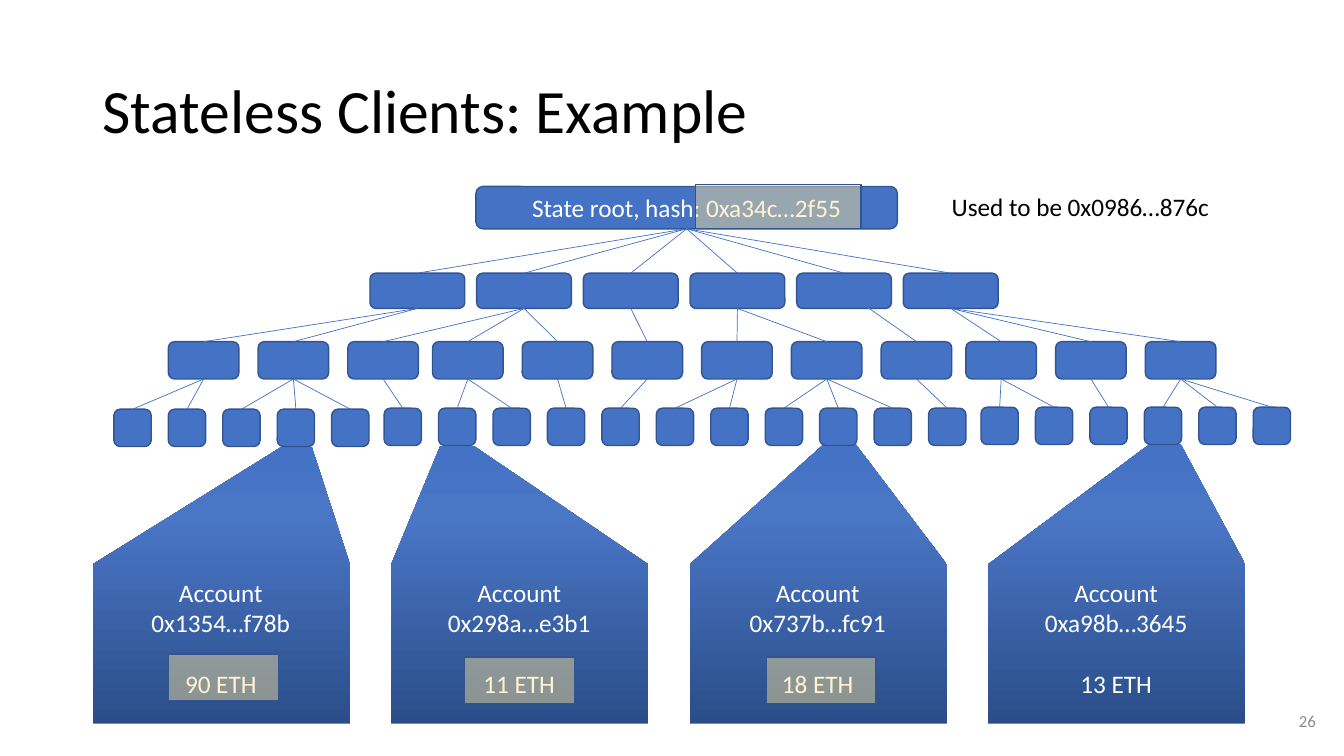
from lxml import etree
from pptx import Presentation
from pptx.dml.color import RGBColor
from pptx.enum.shapes import MSO_CONNECTOR, MSO_SHAPE
from pptx.enum.text import MSO_ANCHOR, PP_ALIGN
from pptx.oxml import parse_xml
from pptx.oxml.ns import nsdecls, qn
from pptx.util import Inches, Pt

ROUND, RECT = MSO_SHAPE.ROUNDED_RECTANGLE, MSO_SHAPE.RECTANGLE
LINE = MSO_CONNECTOR.STRAIGHT
TOP, MIDDLE = MSO_ANCHOR.TOP, MSO_ANCHOR.MIDDLE
LEFT, CENTER, RIGHT = PP_ALIGN.LEFT, PP_ALIGN.CENTER, PP_ALIGN.RIGHT

# Content
TITLE = "Stateless Clients: Example"
ROOT = "State root, hash: 0xa34c…2f55"
NOTE = "Used to be 0x0986…876c"
PAGE = "26"
# address, balance, neck left, neck right, neck top
ACCOUNTS = [
    ("0x1354…f78b", "90 ETH", 2.8, 3.09, 4.43),
    ("0x298a…e3b1", "11 ETH", 4.37, 4.69, 4.42),
    ("0x737b…fc91", "18 ETH", 8.18, 8.48, 4.4),
    ("0xa98b…3645", "13 ETH", 11.4, 11.71, 4.41),
]
# Tree levels: box size, pitch, runs of (left, top, count), parent of each box
LEVELS = [
    (0.94, 0.35, 1.058, [(3.67, 2.71, 6)], [0] * 6),
    (0.7, 0.37, 0.89, [(1.67, 3.39, 3), (4.29, 3.39, 6), (9.58, 3.39, 3)],
     [0, 0, 1, 1, 1, 2, 3, 3, 4, 5, 5, 5]),
    (0.37, 0.37, 0.54, [(1.13, 4.06, 5), (3.81, 4.05, 11), (9.73, 4.04, 6)],
     [0, 0, 1, 1, 1, 2, 3, 3, 4, 5, 6, 6, 7, 7, 7, 8, 9, 9, 10, 11, 11, 11]),
]
INNER = (1, 8)  # level and box whose link starts inside its parent
MARKS = [(1.67, 6.49, 1.09, 0.46), (4.61, 6.52, 1.09, 0.46),
         (7.6, 6.52, 1.09, 0.46), (6.9, 1.83, 1.64, 0.44)]
BLUE, EDGE, GOLD = "4472C4", "325491", "FFE699"
STOPS = [(0, "2B4E89"), (75, "4A76C6"), (98, BLUE)]
SLOT, STEP, WIDE = 0.92, 2.96, 2.55  # account columns
EAVES, FLOOR = 5.6, 7.18

deck = Presentation()
deck.slide_width, deck.slide_height = Inches(13.33), Inches(7.5)
slide = deck.slides.add_slide(deck.slide_layouts[6])
shapes = slide.shapes


def color(code):
    return RGBColor.from_string(code)


def write(frame, lines, size, code, align=LEFT, anchor=TOP, wrap=True):
    for key, value in {"word_wrap": wrap, "vertical_anchor": anchor}.items():
        setattr(frame, key, value)
    for i, text in enumerate(lines):
        para = frame.paragraphs[0] if i == 0 else frame.add_paragraph()
        para.alignment = align
        run = para.add_run()
        run.text = text
        run.font.color.rgb = color(code)
        for key, value in {"name": "Calibri", "size": Pt(size)}.items():
            setattr(run.font, key, value)
    return frame.paragraphs


def label(at, *args, **form):
    box = shapes.add_textbox(*map(Inches, at))
    return write(box.text_frame, *args, **form)


def block(kind, at, fill):
    box = shapes.add_shape(kind, *map(Inches, at))
    box.shadow.inherit = False
    box.fill.solid()
    box.fill.fore_color.rgb = color(fill)
    box.line.color.rgb = color(EDGE)
    box.line.width = Pt(1)
    return box


def house(left, neck, end, top):
    points = [(neck, top), (end, top), (left + WIDE, EAVES),
              (left + WIDE, FLOOR), (left, FLOOR), (left, EAVES)]
    points = [(Inches(x), Inches(y)) for x, y in points]
    maker = shapes.build_freeform(*points[0], scale=1.0)
    maker.add_line_segments(points[1:], close=True)
    body = maker.convert_to_shape()
    body.shadow.inherit = False
    body.line.fill.background()
    stops = "".join(f'<a:gs pos="{p * 1000}"><a:srgbClr val="{c}"/></a:gs>'
                    for p, c in STOPS)
    shade = parse_xml(f'<a:gradFill {nsdecls("a")} rotWithShape="1"><a:gsLst>'
                      f'{stops}</a:gsLst><a:lin ang="16200000" scaled="0"/>'
                      '</a:gradFill>')
    body._element.spPr.find(qn("a:custGeom")).addnext(shade)


def link(parent, child, inner):
    x = parent.left + parent.width // 2
    y = parent.top + parent.height // 2
    wire = shapes.add_connector(LINE, x, y, child.left, child.top)
    if not inner:
        wire.begin_connect(parent, 2)
    wire.end_connect(child, 0)
    wire.line.color.rgb = color(BLUE)
    wire.line.width = Pt(0.5)
    etree.SubElement(wire._element.spPr, qn("a:effectLst"))


# Title
label((0.92, 0.4, 11.5, 1.45), [TITLE], 44, "000000",
      anchor=MIDDLE)[0].line_spacing = 0.9

# Account bodies
for col, (_, _, neck, end, top) in enumerate(ACCOUNTS):
    house(SLOT + col * STEP, neck, end, top)

# Tree
root = block(ROUND, (4.72, 1.85, 4.18, 0.42), BLUE)
write(root.text_frame, [ROOT], 18, "FFFFFF", CENTER, MIDDLE)
above = [root]
for depth, (wide, high, pitch, runs, parents) in enumerate(LEVELS):
    row = [block(ROUND, (left + i * pitch, top, wide, high), BLUE)
           for left, top, count in runs for i in range(count)]
    for i, (box, up) in enumerate(zip(row, parents)):
        link(above[up], box, (depth, i) == INNER)
    above = row

# Account labels
for col, (address, funds, *_) in enumerate(ACCOUNTS):
    paras = label((SLOT + col * STEP, 5.68, 2.54, 1.31),
                  ["Account", address, funds], 18, "FFFFFF", CENTER)
    paras[2].space_before = Pt(22)

# Page number, highlights and side note
label((10.15, 6.95, 3, 0.4), [PAGE], 12, "8C8C8C", RIGHT, MIDDLE)
for at in MARKS:
    mark = block(RECT, at, GOLD)
    tint = mark._element.spPr.find(qn("a:solidFill")).find(qn("a:srgbClr"))
    etree.SubElement(tint, qn("a:alpha")).set("val", "45000")
label((9.34, 1.85, 2.78, 0.4), [NOTE], 18, "000000", wrap=False)

deck.save("out.pptx")
